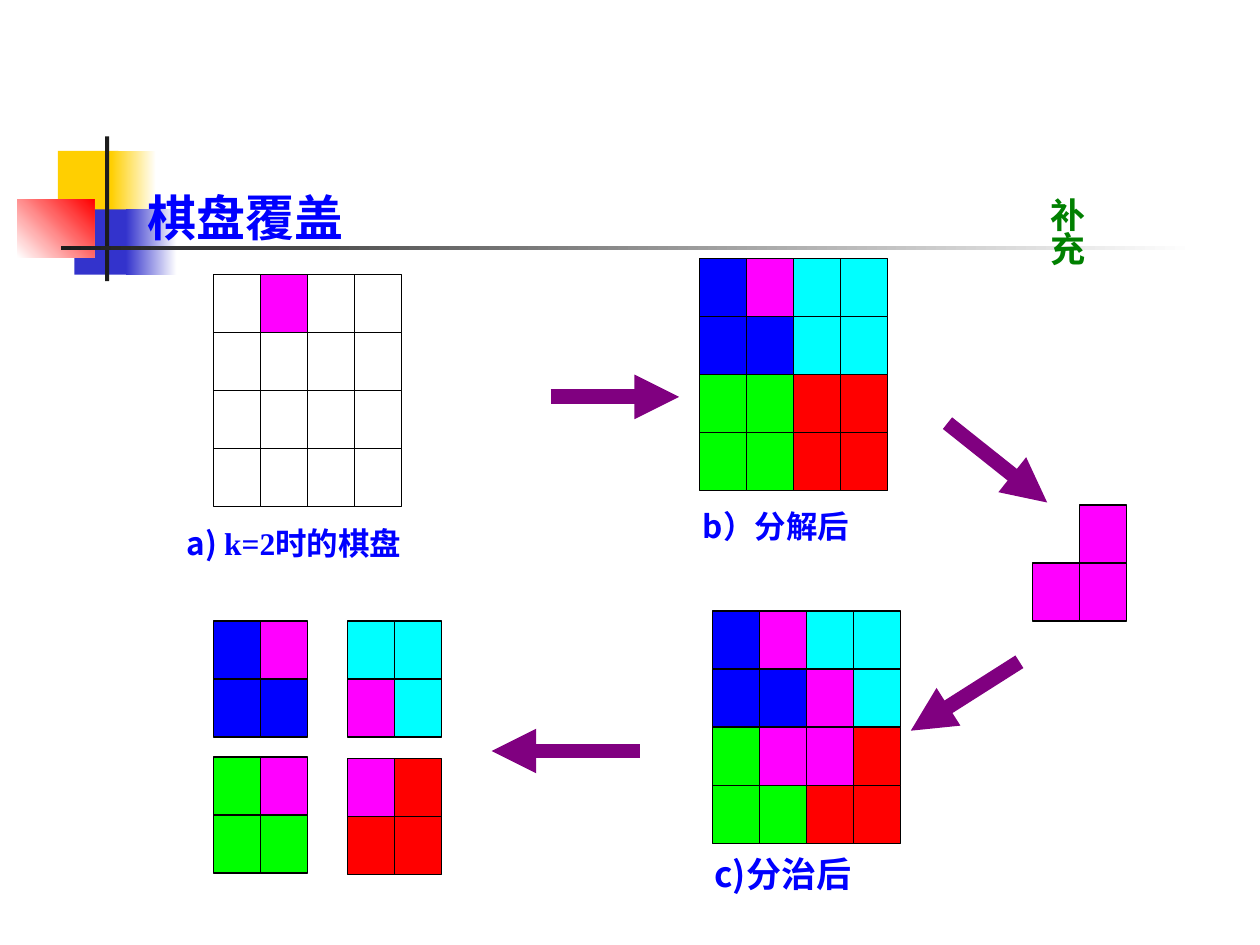
"""Build the chessboard cover slide, from the whole board to its four parts."""
from typing import NamedTuple

from pptx import Presentation
from pptx import util as u
from pptx.dml.color import RGBColor
from pptx.enum import shapes, text
from pptx.oxml import parse_xml
from pptx.oxml.ns import nsdecls, qn

HUES = {
    "W": "FFFFFF", "M": "FF00FF", "B": "0000FF", "C": "00FFFF",
    "G": "00FF00", "R": "FF0000", "black": "000000", "gold": "FFCF01",
    "navy": "3333CC", "ink": "1C1C1C", "plum": "800080", "leaf": "008000",
}
SANS, SERIF = "Noto Sans CJK SC", "Times New Roman"
WIDE, HIGH = 0.95, 1.17


class Bar(NamedTuple):
    box: tuple[float, float, float, float]
    start: str
    end: str | None = None
    angle: float = 0


class Board(NamedTuple):
    left: float
    top: float
    rows: str


class Arrow(NamedTuple):
    x1: float
    y1: float
    x2: float
    y2: float


BARS = [
    Bar((1.17, 3.04, 1.22, 1.32), "gold"),
    Bar((2.24, 3.04, 0.91, 1.32), "gold", "W"),
    Bar((1.5, 4.22, 1.17, 1.32), "navy"),
    Bar((2.54, 4.22, 1.02, 1.32), "navy", "W"),
    Bar((0.35, 4.02, 1.55, 1.17), "W", "R", 45),
    Bar((2.12, 2.75, 0.08, 2.92), "ink"),
    Bar((1.23, 4.95, 22.86, 0.09), "ink", "W"),
]
BOARDS = [
    Board(4.3, 5.53, "WMWW WWWW WWWW WWWW"),
    Board(14.1, 5.21, "BMCC BBCC GGRR GGRR"),
    Board(20.81, 10.18, ".M MM"),
    Board(4.3, 12.52, "BM BB"),
    Board(7, 12.52, "CC MC"),
    Board(4.3, 15.26, "GM GG"),
    Board(7, 15.29, "MR RR"),
    Board(14.36, 12.32, "BMCC BBMC GMMR GGRR"),
]
ARROWS = [
    Arrow(11.1, 8, 13.69, 8),
    Arrow(19.1, 8.53, 21.11, 10.13),
    Arrow(20.55, 13.34, 18.36, 14.73),
    Arrow(12.9, 15.14, 9.91, 15.14),
]


def hue(name: str) -> RGBColor:
    return RGBColor.from_string(HUES[name])


def rect(slide, box: tuple[float, ...]):
    shape = slide.shapes.add_shape(shapes.MSO_SHAPE.RECTANGLE, *map(u.Cm, box))
    shape.shadow.inherit = False
    return shape


def draw_bar(slide, bar: Bar) -> None:
    shape = rect(slide, bar.box)
    shape.line.fill.background()
    if bar.end is None:
        shape.fill.solid()
        shape.fill.fore_color.rgb = hue(bar.start)
        return
    shape.fill.gradient()
    shape.fill.gradient_angle = bar.angle
    for stop, name, place in zip(shape.fill.gradient_stops, (bar.start, bar.end), (0, 1)):
        stop.color.rgb = hue(name)
        stop.position = place


def draw_board(slide, board: Board) -> None:
    for row, marks in enumerate(board.rows.split()):
        for col, mark in enumerate(marks):
            if mark == ".":
                continue
            cell = rect(slide, (board.left + col * WIDE, board.top + row * HIGH, WIDE, HIGH))
            cell.fill.solid()
            cell.fill.fore_color.rgb = hue(mark)
            cell.line.color.rgb = hue("black")
            cell.line.width = u.Pt(0.75)


def draw_arrow(slide, arrow: Arrow) -> None:
    link = slide.shapes.add_connector(shapes.MSO_CONNECTOR.STRAIGHT, *map(u.Cm, arrow))
    link.line.color.rgb = hue("plum")
    link.line.width = u.Pt(8.5)
    link.line._get_or_add_ln().append(parse_xml(f'<a:tailEnd {nsdecls("a")} type="triangle"/>'))
    link._element.spPr.append(parse_xml(f'<a:effectLst {nsdecls("a")}/>'))


def write(slide, box: tuple[float, ...], *runs: tuple[str, str], size: float = 18,
          color: str = "B", space: float = 1.4, before: float = 0,
          wrap: bool = True, middle: bool = False) -> None:
    frame = slide.shapes.add_textbox(*map(u.Cm, box)).text_frame
    frame.word_wrap = wrap
    frame.auto_size = text.MSO_AUTO_SIZE.SHAPE_TO_FIT_TEXT
    if middle:
        frame.vertical_anchor = text.MSO_ANCHOR.MIDDLE
    para = frame.paragraphs[0]
    para.line_spacing = space
    para.space_before = u.Pt(before)
    for words, face in runs:
        run = para.add_run()
        run.text = words
        run.font.name = face
        run.font.size = u.Pt(size)
        run.font.bold = True
        run.font.color.rgb = hue(color)
        east = run.font._element.makeelement(qn("a:ea"), {"typeface": SANS})
        run.font._element.append(east)


def main() -> None:
    deck = Presentation()
    deck.slide_width, deck.slide_height = u.Cm(25.4), u.Cm(19.05)
    slide = deck.slides.add_slide(deck.slide_layouts[6])
    for bar in BARS:
        draw_bar(slide, bar)
    for board in BOARDS:
        draw_board(slide, board)
    for arrow in ARROWS:
        draw_arrow(slide, arrow)
    write(slide, (3.51, 10.13, 5.99, 1.32), ("a) ", SANS), ("k=2", SERIF), ("时的棋盘", SANS))
    write(slide, (13.92, 9.8, 4.57, 1.32), ("b）分解后", SANS))
    write(slide, (14.15, 17.07, 3.63, 1.12), ("c)分治后", SANS), size=20, space=1, wrap=False)
    write(slide, (2.72, 3.18, 6.2, 1.93), ("棋盘覆盖", SERIF), size=28, middle=True)
    write(slide, (20.93, 3.94, 1.91, 0.94), ("补充", SERIF), size=20, color="leaf",
          space=0.8, before=5, wrap=False)
    deck.save("out.pptx")


if __name__ == "__main__":
    main()
